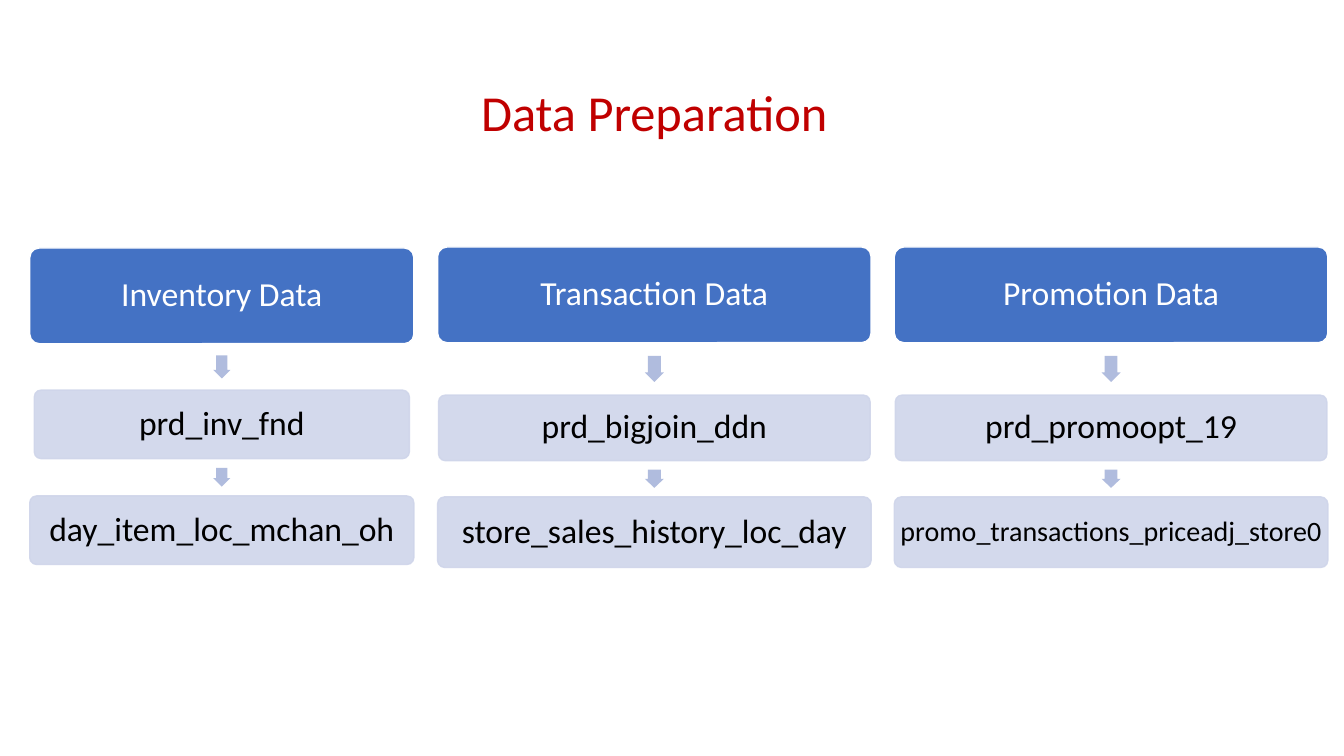
from dataclasses import dataclass
from itertools import pairwise

from lxml import etree
from pptx import Presentation
from pptx.dml.color import RGBColor
from pptx.dml.fill import FillFormat
from pptx.enum.shapes import MSO_SHAPE
from pptx.enum.text import MSO_ANCHOR, PP_ALIGN
from pptx.oxml.ns import qn
from pptx.slide import Slide
from pptx.text.text import TextFrame
from pptx.util import Inches, Pt

ROUNDED = MSO_SHAPE.ROUNDED_RECTANGLE
DOWN_ARROW = MSO_SHAPE.DOWN_ARROW
MIDDLE = MSO_ANCHOR.MIDDLE
CENTER = PP_ALIGN.CENTER

COLORS = {
    "title": "C00000",
    "header": "4472C4",
    "step": "CFD5EA",
    "arrow": "B0BCDE",
    "white": "FFFFFF",
    "black": "000000",
}
FONT = "Calibri"
INSET = 0.03
STEP_OPACITY = 90


@dataclass(frozen=True)
class Step:
    text: str
    top: float
    width: float
    height: float
    size: int = 24


@dataclass(frozen=True)
class Column:
    center: float
    arrow_width: float
    steps: tuple[Step, ...]


COLUMNS = (
    Column(2.2, 0.17, (
        Step("Inventory Data", 2.46, 3.81, 0.95),
        Step("prd_inv_fnd", 3.87, 3.72, 0.68),
        Step("day_item_loc_mchan_oh", 4.92, 3.81, 0.68),
    )),
    Column(6.49, 0.19, (
        Step("Transaction Data", 2.45, 4.3, 0.95),
        Step("prd_bigjoin_ddn", 3.92, 4.28, 0.65),
        Step("store_sales_history_loc_day", 4.93, 4.3, 0.7),
    )),
    Column(11.02, 0.19, (
        Step("Promotion Data", 2.45, 4.3, 0.95),
        Step("prd_promoopt_19", 3.92, 4.28, 0.65),
        Step("promo_transactions_priceadj_store0", 4.93, 4.3, 0.7, 20),
    )),
)


def paint(fill: FillFormat, color: str, opacity: int = 100) -> None:
    fill.solid()
    fill.fore_color.rgb = RGBColor.from_string(COLORS[color])
    if opacity < 100:
        for node in fill._xPr.iter(qn("a:srgbClr")):
            etree.SubElement(node, qn("a:alpha"), val=str(opacity * 1000))


def write(frame: TextFrame, text: str, size: int, color: str) -> None:
    frame.word_wrap = True
    para = frame.paragraphs[0]
    para.text = text
    para.alignment = CENTER
    para.font.name = FONT
    para.font.size = Pt(size)
    para.font.color.rgb = RGBColor.from_string(COLORS[color])


def add_step(page: Slide, center: float, step: Step, is_header: bool) -> None:
    box = page.shapes.add_shape(
        ROUNDED, Inches(center - step.width / 2), Inches(step.top),
        Inches(step.width), Inches(step.height))
    box.shadow.inherit = False
    box.adjustments[0] = 0.1
    if is_header:
        paint(box.fill, "header")
        paint(box.line.fill, "white")
    else:
        paint(box.fill, "step", STEP_OPACITY)
        paint(box.line.fill, "step", STEP_OPACITY)
    box.line.width = Pt(1)
    frame = box.text_frame
    frame.margin_left = frame.margin_right = Inches(INSET)
    frame.margin_top = frame.margin_bottom = Inches(INSET)
    frame.vertical_anchor = MIDDLE
    write(frame, step.text, step.size, "white" if is_header else "black")
    frame.paragraphs[0].line_spacing = 0.9


def add_arrow(page: Slide, column: Column, upper: Step, lower: Step) -> None:
    bottom = upper.top + upper.height
    gap = lower.top - bottom
    arrow = page.shapes.add_shape(
        DOWN_ARROW, Inches(column.center - column.arrow_width / 2),
        Inches(bottom + gap / 4), Inches(column.arrow_width), Inches(gap / 2))
    arrow.shadow.inherit = False
    arrow.adjustments[0] = 0.67
    arrow.adjustments[1] = 0.5
    paint(arrow.fill, "arrow")
    arrow.line.fill.background()


def main() -> None:
    deck = Presentation()
    deck.slide_width = Inches(13.33)
    deck.slide_height = Inches(7.5)
    page = deck.slides.add_slide(deck.slide_layouts[6])
    title = page.shapes.add_textbox(
        Inches(3.33), Inches(0.76), Inches(6.32), Inches(0.71))
    write(title.text_frame, "Data Preparation", 36, "title")
    for column in COLUMNS:
        for index, step in enumerate(column.steps):
            add_step(page, column.center, step, index == 0)
        for upper, lower in pairwise(column.steps):
            add_arrow(page, column, upper, lower)
    deck.save("out.pptx")


if __name__ == "__main__":
    main()
